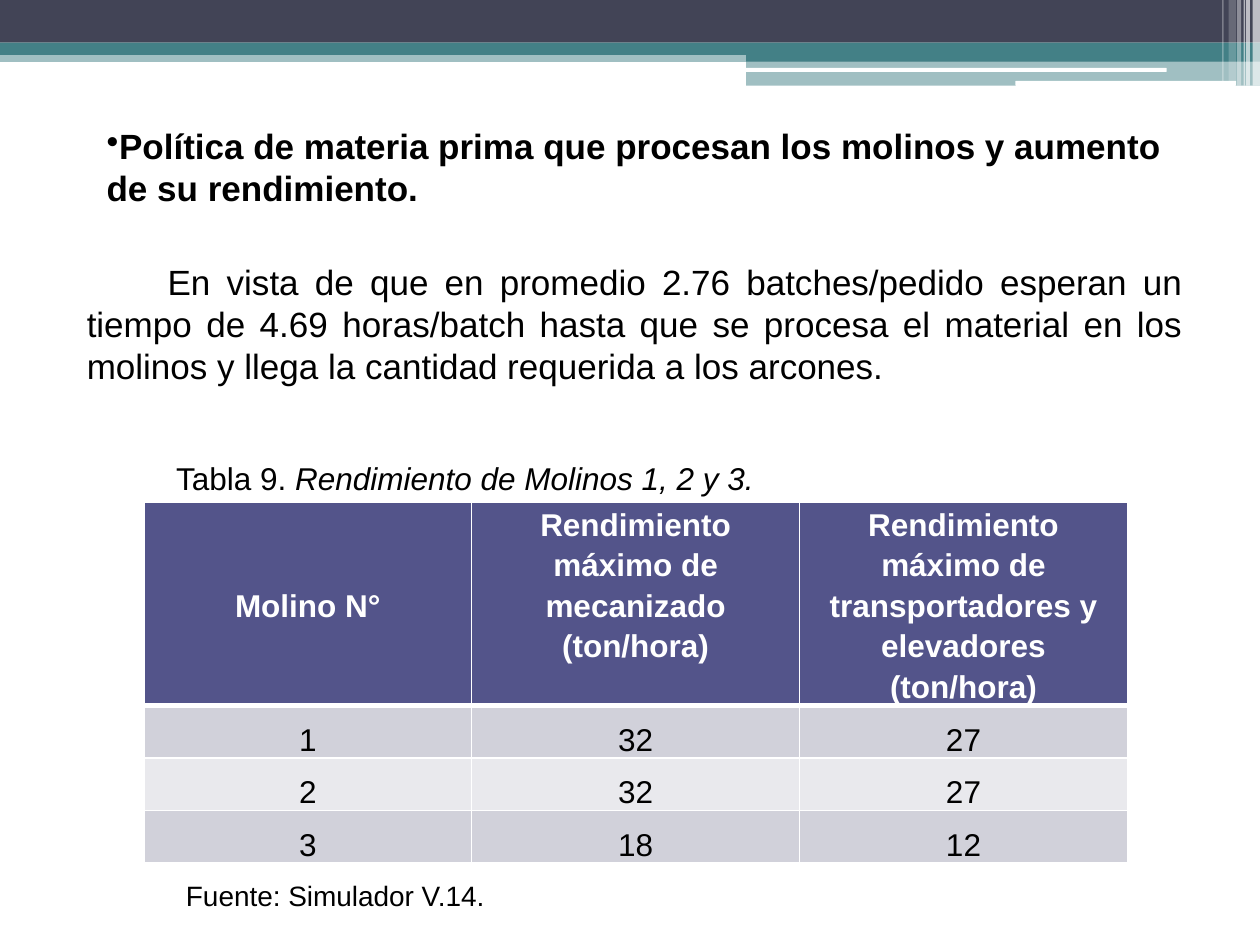
import lxml.etree
import pptx
import pptx.dml.color
import pptx.enum.shapes
import pptx.enum.text
import pptx.oxml.ns
import pptx.util

Cm = pptx.util.Cm
Pt = pptx.util.Pt
RGBColor = pptx.dml.color.RGBColor
MSO_SHAPE = pptx.enum.shapes.MSO_SHAPE
PP_ALIGN = pptx.enum.text.PP_ALIGN
MSO_ANCHOR = pptx.enum.text.MSO_ANCHOR
qn = pptx.oxml.ns.qn

NAVY = RGBColor(0x42, 0x44, 0x56)
TEAL = RGBColor(0x43, 0x80, 0x86)
WHITE = RGBColor(0xFF, 0xFF, 0xFF)
BLACK = RGBColor(0, 0, 0)
HEADER = RGBColor(0x53, 0x54, 0x8A)
ROW_DARK = RGBColor(0xD1, 0xD1, 0xDA)
ROW_LIGHT = RGBColor(0xE9, 0xE9, 0xED)

WIDTH, HEIGHT = 25.4, 19.05
BANDS = [
    (0, 1.02, WIDTH, 0.23, TEAL, 50),
    (0, 0, WIDTH, 0.86, NAVY, 100),
    (0, 0.86, WIDTH, 0.25, TEAL, 100),
    (15.04, 0.99, 10.36, 0.25, TEAL, 100),
    (15.04, 1.22, 10.36, 0.51, TEAL, 50),
]
ROUNDED_LINES = [(15.01, 1.37, 8.51, 0.08), (20.47, 1.63, 4.45, 0.1)]
STRIPES = [
    (25.25, 0.15, 1.73, 65),
    (25.12, 0.08, 1.73, 65),
    (25.07, 0.03, 1.73, 60),
    (24.94, 0.08, 1.73, 40),
    (24.77, 0.15, 1.63, 20),
    (24.64, 0.03, 1.63, 30),
]
ROWS = [
    ("Molino N°", "Rendimiento máximo de mecanizado (ton/hora)",
     "Rendimiento máximo de transportadores y elevadores (ton/hora)"),
    ("1", "32", "27"),
    ("2", "32", "27"),
    ("3", "18", "12"),
]
HEADER_ANCHORS = [MSO_ANCHOR.MIDDLE, MSO_ANCHOR.TOP, MSO_ANCHOR.BOTTOM]


def set_attrs(obj, values):
    """Set each attribute of an object from a dict of values."""
    for name, value in values.items():
        setattr(obj, name, value)


def add_run(p, text, size, color=BLACK, **fmt):
    """Add a formatted run to a paragraph."""
    r = p.add_run()
    r.text = text
    set_attrs(r.font, {"name": "Arial", "size": Pt(size), **fmt})
    r.font.color.rgb = color


def add_bar(s, box, color, alpha=100, kind=MSO_SHAPE.RECTANGLE):
    """Add a borderless bar with the given opacity in percent."""
    sp = s.shapes.add_shape(kind, *map(Cm, box))
    sp.shadow.inherit = False
    sp.line.fill.background()
    sp.fill.solid()
    sp.fill.fore_color.rgb = color
    if alpha < 100:
        clr = sp.fill._xPr.find(".//" + qn("a:srgbClr"))
        lxml.etree.SubElement(clr, qn("a:alpha")).set("val", str(alpha * 1000))


def add_text(s, box, runs, size, align=PP_ALIGN.LEFT, indent=0, bullet=None):
    """Add a one-paragraph text box and its (text, format) runs."""
    tf = s.shapes.add_textbox(*map(Cm, box)).text_frame
    tf.word_wrap = True
    p = tf.paragraphs[0]
    p.alignment = align
    pPr = p._p.get_or_add_pPr()
    pPr.set("marL", "0")
    pPr.set("indent", str(Cm(indent)))
    if bullet:
        lxml.etree.SubElement(pPr, qn("a:buChar")).set("char", bullet)
    for text, fmt in runs:
        add_run(p, text, size, **fmt)


def set_borders(cell, widths):
    """Give a cell white borders with the widths in points for L, R, T and B."""
    tcPr = cell._tc.get_or_add_tcPr()
    for i, (side, width) in enumerate(zip("LRTB", widths)):
        ln = lxml.etree.Element(qn("a:ln" + side), w=str(Pt(width)))
        fill = lxml.etree.SubElement(ln, qn("a:solidFill"))
        lxml.etree.SubElement(fill, qn("a:srgbClr")).set("val", str(WHITE))
        tcPr.insert(i, ln)


def fill_cell(cell, text, row, col):
    """Write and format one table cell."""
    head = row == 0
    set_attrs(cell, {
        "margin_left": Cm(0.13), "margin_right": Cm(0.13),
        "margin_top": 0, "margin_bottom": 0,
        "vertical_anchor": HEADER_ANCHORS[col] if head else MSO_ANCHOR.BOTTOM,
    })
    cell.fill.solid()
    cell.fill.fore_color.rgb = HEADER if head else (ROW_LIGHT, ROW_DARK)[row % 2]
    set_borders(cell, (1, 1, 3 if row == 1 else 1, 3 if head else 1))
    p = cell.text_frame.paragraphs[0]
    set_attrs(p, {"alignment": PP_ALIGN.CENTER, "line_spacing": 1.15})
    add_run(p, text, 18, WHITE if head else BLACK, bold=head)


def add_mill_table(s):
    """Add the table of mill performance."""
    box = (2.9, 10.13, 19.83, 7.24)
    table = s.shapes.add_table(len(ROWS), len(ROWS[0]), *map(Cm, box)).table
    for i, row in enumerate(ROWS):
        table.rows[i].height = Cm(1.06 if i else 4.06)
        for j, text in enumerate(row):
            fill_cell(table.cell(i, j), text, i, j)


def main():
    """Build the slide and save it."""
    prs = pptx.Presentation()
    set_attrs(prs, {"slide_width": Cm(WIDTH), "slide_height": Cm(HEIGHT)})
    s = prs.slides.add_slide(prs.slide_layouts[6])
    for *box, color, alpha in BANDS:
        add_bar(s, box, color, alpha)
    for box in ROUNDED_LINES:
        add_bar(s, box, WHITE, kind=MSO_SHAPE.ROUNDED_RECTANGLE)
    for left, width, height, alpha in STRIPES:
        add_bar(s, (left, 0, width, height), WHITE, alpha)
    add_mill_table(s)
    add_text(s, (1.9, 2.39, 22.4, 2.74), [
        ("Política de materia prima que procesan los molinos y aumento "
         "de su rendimiento.", {"bold": True})], 20, bullet="•")
    add_text(s, (1.5, 5.13, 22.6, 3.58), [
        ("En vista de que en promedio 2.76 batches/pedido esperan un tiempo "
         "de 4.69 horas/batch hasta que se procesa el material en los molinos "
         "y llega la cantidad requerida a los arcones.", {})],
        20, PP_ALIGN.JUSTIFY, indent=1.63)
    add_text(s, (3.3, 9.12, 13.59, 1.8), [
        ("Tabla 9. ", {}),
        ("Rendimiento de Molinos 1, 2 y 3.", {"italic": True})], 18)
    add_text(s, (3.5, 17.58, 10.8, 0.94), [("Fuente: Simulador V.14.", {})], 16)
    prs.save("out.pptx")


if __name__ == "__main__":
    main()
